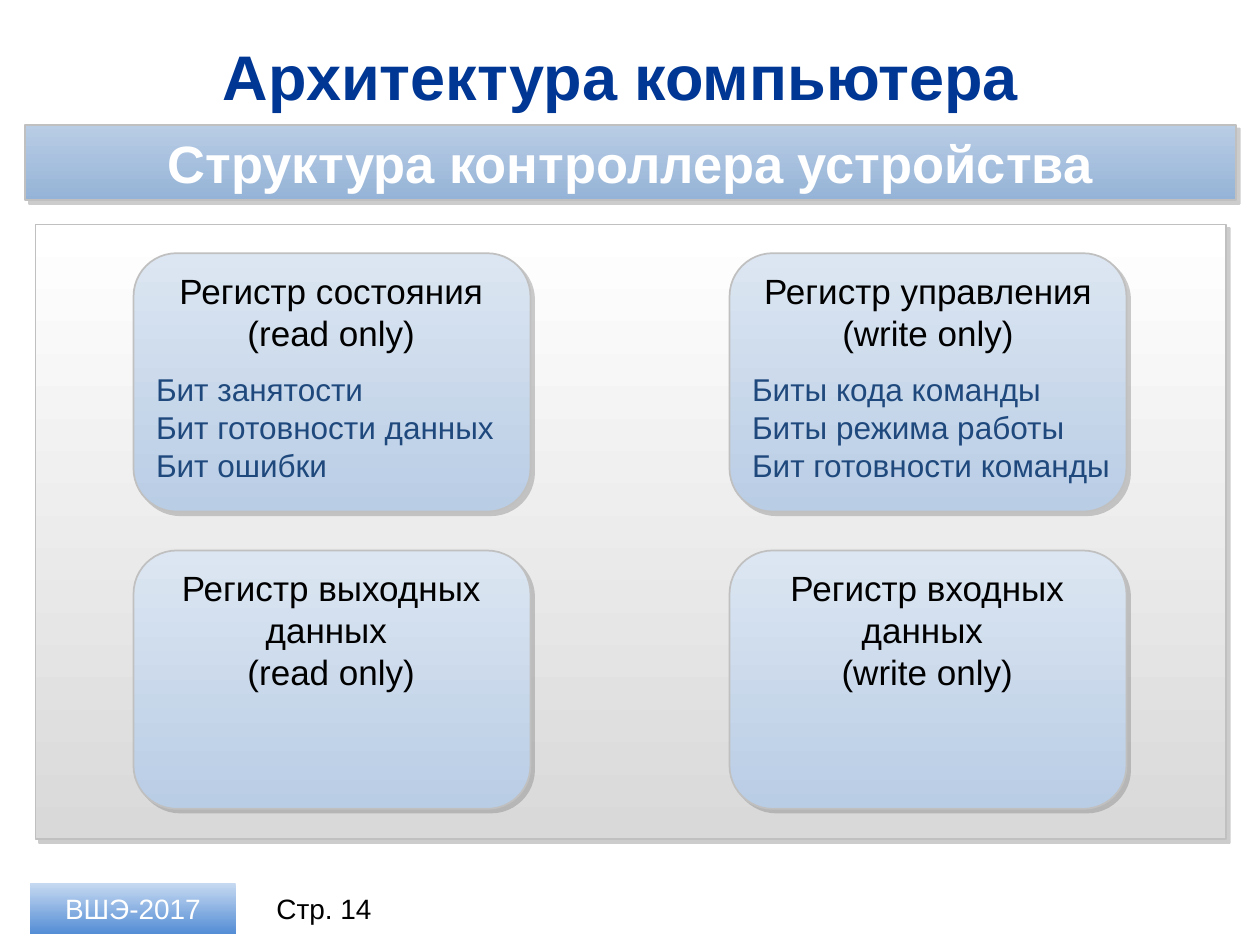
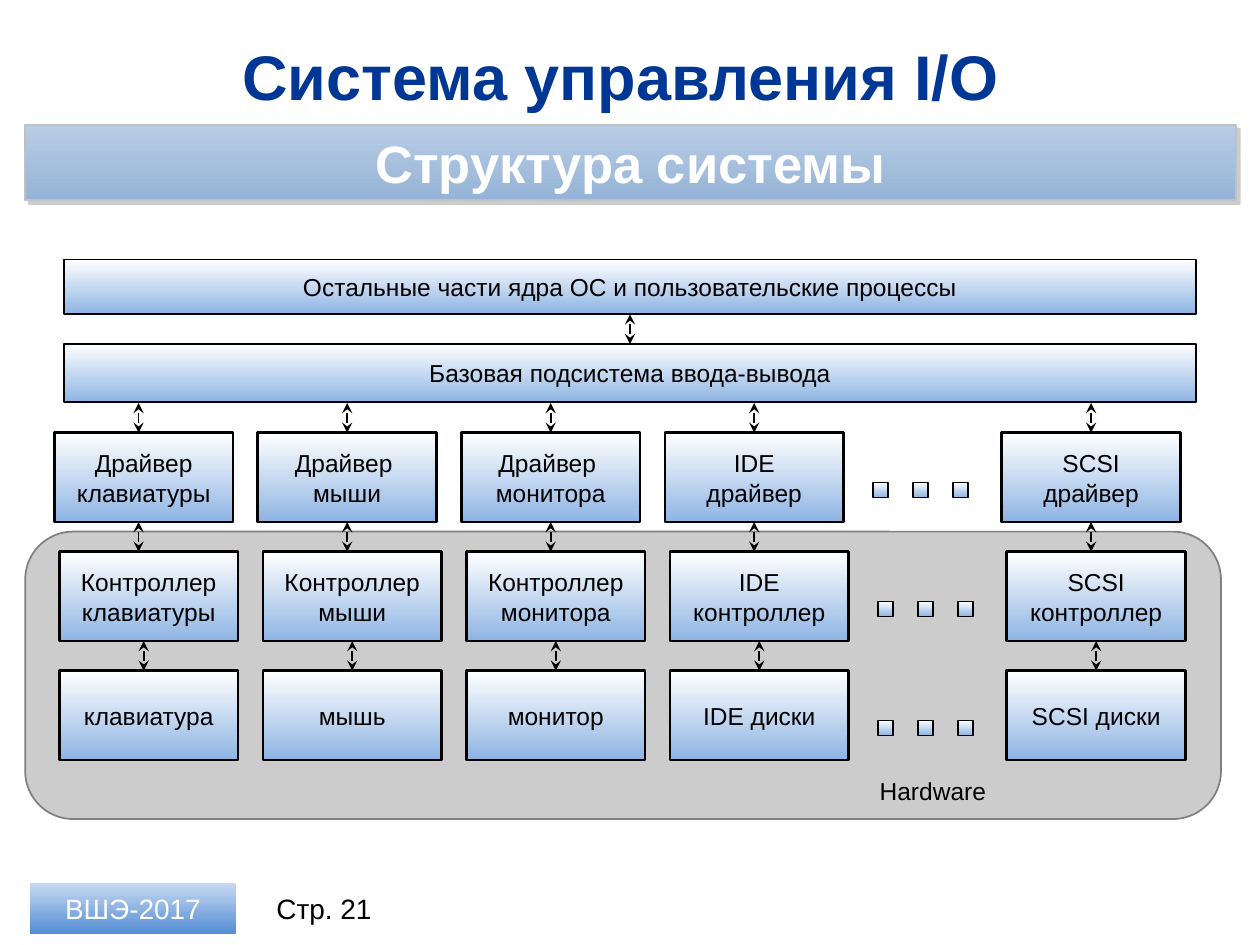
"""Build two lecture slides on device controllers and the input/output system."""
import lxml.etree
import pptx
import pptx.dml.color
import pptx.enum.shapes
import pptx.enum.text
import pptx.oxml
import pptx.oxml.ns
import pptx.util

Pt = pptx.util.Pt
RGBColor = pptx.dml.color.RGBColor
Shape = pptx.enum.shapes.MSO_SHAPE
Align = pptx.enum.text.PP_ALIGN
Anchor = pptx.enum.text.MSO_ANCHOR
AutoSize = pptx.enum.text.MSO_AUTO_SIZE
qn = pptx.oxml.ns.qn

NAVY = RGBColor(0x00, 0x37, 0x94)
INK_BLUE = RGBColor(0x1F, 0x49, 0x7D)
BLACK = RGBColor(0x00, 0x00, 0x00)
WHITE = RGBColor(0xFF, 0xFF, 0xFF)
SILVER = RGBColor(0xC0, 0xC0, 0xC0)
GRAY = RGBColor(0x80, 0x80, 0x80)
PALE_GRAY = RGBColor(0xD9, 0xD9, 0xD9)
ICE = RGBColor(0xDC, 0xE6, 0xF2)
LIGHT_BLUE = RGBColor(0xB9, 0xCD, 0xE5)
STEEL_BLUE = RGBColor(0x95, 0xB3, 0xD7)
SKY_BLUE = RGBColor(0x8E, 0xB4, 0xE3)
FOOTER_TOP = RGBColor(0xC6, 0xD9, 0xF1)
FOOTER_BOTTOM = RGBColor(0x55, 0x8E, 0xD5)

BAND_FILL = (LIGHT_BLUE, STEEL_BLUE)
FOOTER_FILL = (FOOTER_TOP, FOOTER_BOTTOM)
PANEL_FILL = (WHITE, PALE_GRAY)
CARD_FILL = (ICE, LIGHT_BLUE)
BLOCK_FILL = (WHITE, SKY_BLUE)

TITLE = (NAVY, {"size": Pt(36), "bold": True})
BAND = (WHITE, {"size": Pt(30), "bold": True})
FOOTER = (WHITE, {"size": Pt(16), "bold": False})
PAGE_NUMBER = (BLACK, {"size": Pt(16), "bold": False})
HEADING = (BLACK, {"size": Pt(20), "bold": False})
DETAIL = (INK_BLUE, {"size": Pt(18), "bold": False})
BLOCK = (BLACK, {"size": Pt(14), "bold": False})

MIDDLE = {"vertical_anchor": Anchor.MIDDLE, "word_wrap": True}
UNWRAPPED = {"vertical_anchor": Anchor.MIDDLE, "word_wrap": False}
GROWING = {"vertical_anchor": Anchor.TOP, "word_wrap": True,
           "auto_size": AutoSize.SHAPE_TO_FIT_TEXT}
BAND_FRAME = {**MIDDLE, "margin_left": Pt(17.3), "margin_right": Pt(17.3),
              "margin_top": Pt(2.9), "margin_bottom": Pt(2.9)}


class Lecture:
    """Hold the shared style and the slide being drawn."""

    font_name = "Arial"

    def __init__(self):
        self.deck = pptx.Presentation()
        self.deck.slide_width, self.deck.slide_height = Pt(720), Pt(540)
        self.page = None

    def start(self, title, subtitle, number):
        """Add a slide with its title, band and footer."""
        self.page = self.deck.slides.add_slide(self.deck.slide_layouts[5])
        heading = self.page.shapes.title
        frame = {"left": 25.2, "top": 18.7, "width": 668.9, "height": 49}
        for name, value in frame.items():
            setattr(heading, name, Pt(value))
        self.fill_text(heading, [title], TITLE, {**MIDDLE, "auto_size": AutoSize.NONE})
        band = self.box((14.4, 71.3, 691.9, 43.2), BAND_FILL, SILVER, shadow=True)
        self.fill_text(band, [subtitle], BAND, BAND_FRAME)
        footer = self.box((17.3, 504.7, 117.4, 28.8), FOOTER_FILL)
        self.fill_text(footer, ["ВШЭ-2017"], FOOTER, MIDDLE)
        self.label((146.2, 504.7, 77.8, 28.8), [f"Стр. {number}"], PAGE_NUMBER, MIDDLE)

    def fill_text(self, shape, lines, style, frame, align=Align.CENTER):
        """Put one paragraph per line into a shape."""
        color, values = style
        text_frame = shape.text_frame
        for name, value in frame.items():
            setattr(text_frame, name, value)
        for index, line in enumerate(lines):
            para = text_frame.add_paragraph() if index else text_frame.paragraphs[0]
            para.alignment = align
            span = para.add_run()
            span.text = line
            for name, value in {**values, "name": self.font_name}.items():
                setattr(span.font, name, value)
            span.font.color.rgb = color

    def label(self, place, lines, style, frame, align=Align.CENTER):
        """Add a text box."""
        box = self.page.shapes.add_textbox(*map(Pt, place))
        self.fill_text(box, lines, style, frame, align)

    def shape(self, kind, place, line, weight):
        """Add an outlined shape without a shadow."""
        shape = self.page.shapes.add_shape(kind, *map(Pt, place))
        shape.shadow.inherit = False
        if line is None:
            shape.line.fill.background()
        else:
            shape.line.color.rgb = line
            shape.line.width = Pt(weight)
        return shape

    def box(self, place, colors, line=None, weight=1, kind=Shape.RECTANGLE, shadow=False):
        """Add a shape shaded from top to bottom."""
        box = self.shape(kind, place, line, weight)
        box.fill.gradient()
        box.fill.gradient_angle = 270
        for stop, color in zip(box.fill.gradient_stops, colors):
            stop.color.rgb = color
        if shadow:
            effects = box._element.spPr.find(qn("a:effectLst"))
            outer = lxml.etree.SubElement(
                effects, qn("a:outerShdw"), dist=str(Pt(3)), dir="2700000",
                algn="ctr", rotWithShape="0")
            tone = lxml.etree.SubElement(outer, qn("a:srgbClr"), val=str(GRAY))
            lxml.etree.SubElement(tone, qn("a:alpha"), val="40000")
        return box

    def veil(self, place):
        """Add a rounded area filled with transparent black."""
        veil = self.shape(Shape.ROUNDED_RECTANGLE, place, GRAY, 1)
        veil.fill.solid()
        veil.fill.fore_color.rgb = BLACK
        tone = veil._element.spPr.find(qn("a:solidFill")).find(qn("a:srgbClr"))
        lxml.etree.SubElement(tone, qn("a:alpha"), val="20000")

    def block(self, place, lines, weight):
        """Add a labelled block of the system diagram."""
        box = self.box(place, BLOCK_FILL, BLACK, weight)
        self.fill_text(box, lines, BLOCK, UNWRAPPED)

    def arrow(self, x, bottom, length=17):
        """Add a vertical double arrow."""
        arrow = self.page.shapes.add_connector(
            pptx.enum.shapes.MSO_CONNECTOR.STRAIGHT,
            *map(Pt, (x, bottom, x, bottom - length)))
        arrow.line.color.rgb = BLACK
        arrow.line.width = Pt(1)
        outline = arrow._element.spPr.find(qn("a:ln"))
        for end in ("a:headEnd", "a:tailEnd"):
            lxml.etree.SubElement(outline, qn(end), type="stealth")
        lxml.etree.SubElement(arrow._element.spPr, qn("a:effectLst"))


def draw_registers(lecture):
    """Draw the four registers of a device controller."""
    lecture.start("Архитектура компьютера ", "Структура контроллера устройства", 14)
    lecture.box((20.2, 128.2, 680.4, 351.4), PANEL_FILL, SILVER, shadow=True)
    left, right, upper, lower = 76.3, 416.9, 144.7, 314.6
    width, height = 226.8, 147.6
    registers = [
        (left, upper, 15.8, 55.4, ["Регистр состояния", "(read only)"],
         ["Бит занятости", "Бит готовности данных", "Бит ошибки"]),
        (right, upper, 0, 55.4, ["Регистр управления", "(write only)"],
         ["Биты кода команды", "Биты режима работы", "Бит готовности команды"]),
        (left, lower, 15.8, 79.9, ["Регистр выходных данных ", "(read only)"], []),
        (right, lower, 15.8, 79.9, ["Регистр входных данных ", "(write only)"], []),
    ]
    for x, y, inset, heading_height, heading, details in registers:
        lecture.box((x, y, width, height), CARD_FILL, SILVER,
                    kind=Shape.ROUNDED_RECTANGLE, shadow=True)
        heading_width = 194.4 if inset else width
        lecture.label((x + inset, y + 5.8, heading_width, heading_height),
                      heading, HEADING, GROWING)
        if details:
            lecture.label((x + 5.8, y + 63.4, 221, 72.7), details, DETAIL,
                          GROWING, Align.LEFT)


def draw_system(lecture):
    """Draw the layers of the input/output system."""
    lecture.start("Система управления I/O ", "Структура системы", 21)
    lecture.veil((14.4, 303.8, 683.3, 164.2))
    lecture.label((476.6, 439.9, 113, 23.8), ["Hardware"], BLOCK, GROWING)
    lecture.block((36.7, 148.3, 646.6, 31),
                  ["Остальные части ядра ОС и пользовательские процессы"], 1)
    lecture.block((36.7, 196.6, 646.6, 33.1), ["Базовая подсистема ввода-вывода"], 1)
    lecture.arrow(360, 196.6)

    columns = [31 + 116.3 * index for index in range(4)] + [572.4]
    width, height, dot = 102.2, 51.1, 8.6
    layers = [
        (0, 0, [["Драйвер", "клавиатуры"], ["Драйвер ", "мыши"],
                ["Драйвер ", "монитора"], ["IDE", "драйвер"], ["SCSI", "драйвер"]]),
        (2.9, 0, [["Контроллер", "клавиатуры"], ["Контроллер", "мыши"],
                  ["Контроллер", "монитора"], ["IDE", "контроллер"],
                  ["SCSI", "контроллер"]]),
        (2.9, 2.9, [["клавиатура"], ["мышь"], ["монитор"], ["IDE диски"],
                    ["SCSI диски"]]),
    ]
    for row, (shift, arrow_shift, names) in enumerate(layers):
        top = 247.3 + 68 * row
        for index, (x, lines) in enumerate(zip(columns, names)):
            lecture.block((x + shift, top, width, height), lines, 1.5)
            center = x + width / 2 - (0 if index else 2.9)
            lecture.arrow(center + arrow_shift, top)
        for step in range(3):
            lecture.box((499 + shift + 22.7 * step, top + 28.4, dot, dot),
                        BLOCK_FILL, BLACK)


def main():
    """Build and save the slides."""
    lecture = Lecture()
    draw_registers(lecture)
    draw_system(lecture)
    lecture.deck.save("out.pptx")


if __name__ == "__main__":
    main()
